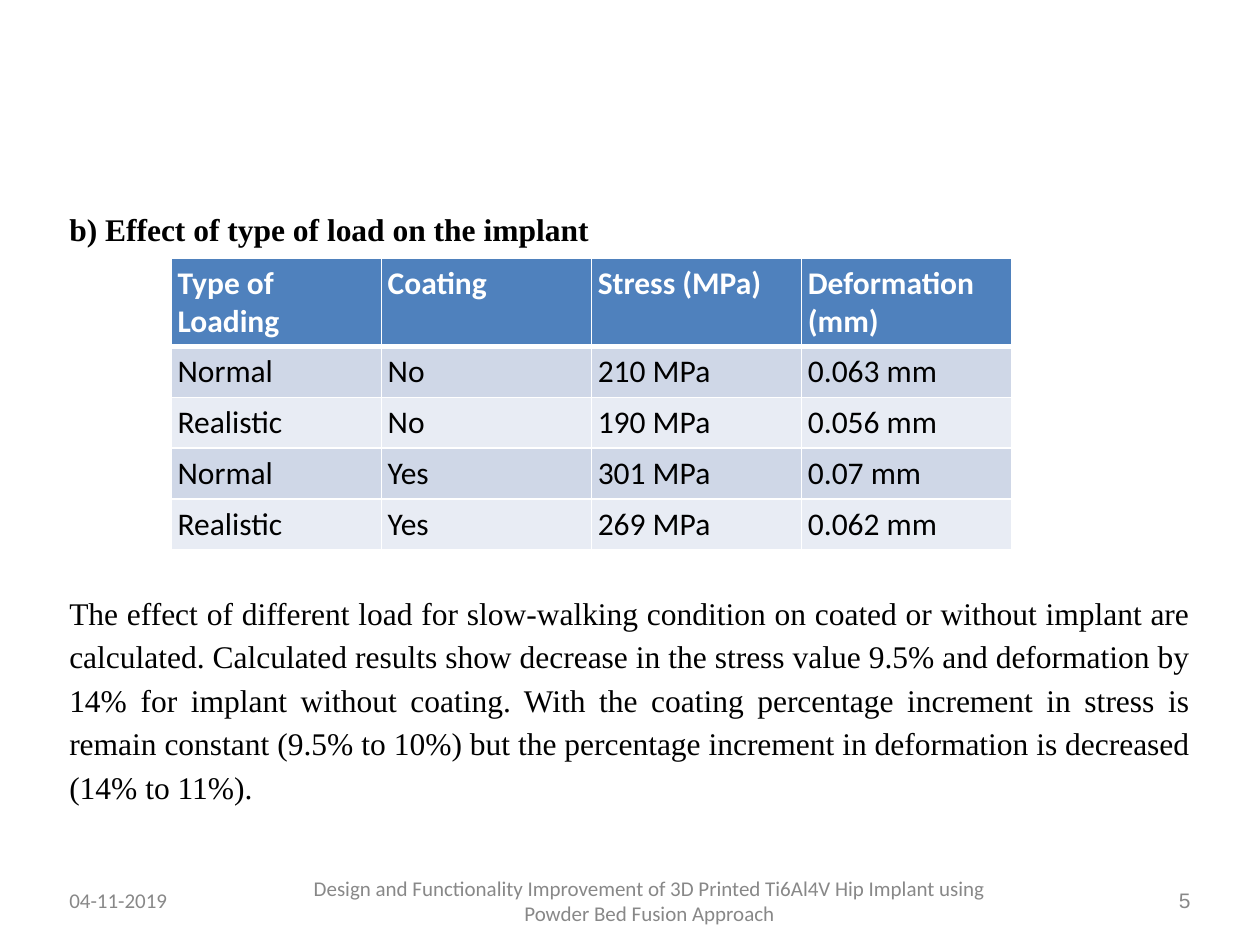
"""Build the slide on the effect of load type on a hip implant."""
from dataclasses import dataclass

from lxml.etree import SubElement
from pptx import Presentation
from pptx.dml.color import RGBColor
from pptx.enum.text import MSO_ANCHOR, MSO_AUTO_SIZE, PP_ALIGN
from pptx.oxml.ns import qn
from pptx.util import Inches, Pt

BLACK = RGBColor(0x00, 0x00, 0x00)
WHITE = RGBColor(0xFF, 0xFF, 0xFF)
GREY = RGBColor(0x88, 0x88, 0x88)
BLUE = RGBColor(0x4F, 0x81, 0xBD)
BANDS = (RGBColor(0xCF, 0xD7, 0xE7), RGBColor(0xE8, 0xEC, 0xF4))

PAGE_WIDTH, PAGE_HEIGHT = Inches(10), Inches(7.5)
MARGIN = 0.05
INSET = Inches(0.05)
THIN, THICK = Pt(1), Pt(3)
SERIF, SANS = "Times New Roman", "Calibri"

HEADING = "b) Effect of type of load on the implant"
RESULTS = (
    ("Type of Loading", "Coating", "Stress (MPa)", "Deformation (mm)"),
    ("Normal", "No", "210 MPa", "0.063 mm"),
    ("Realistic", "No", "190 MPa", "0.056 mm"),
    ("Normal", "Yes", "301 MPa", "0.07 mm"),
    ("Realistic", "Yes", "269 MPa", "0.062 mm"),
)
DISCUSSION = (
    "The effect of different load for slow-walking condition on coated or without "
    "implant are calculated. Calculated results show decrease in the stress value "
    "9.5% and deformation by 14% for implant without coating. With the coating "
    "percentage increment in stress is remain constant (9.5% to 10%) but the "
    "percentage increment in deformation is decreased (14% to 11%)."
)
FOOTER = (
    "Design and Functionality Improvement of 3D Printed Ti6Al4V Hip Implant using "
    "Powder Bed Fusion Approach"
)


@dataclass(frozen=True)
class Style:
    """Look of a run of text."""

    size: int
    font: str
    color: RGBColor
    bold: bool = False


@dataclass(frozen=True)
class Area:
    """Place on the page, as shares of its width and height."""

    left: float
    top: float
    width: float
    height: float

    def lengths(self) -> tuple[int, int, int, int]:
        """Return left, top, width and height as slide lengths."""
        return (
            int(PAGE_WIDTH * self.left),
            int(PAGE_HEIGHT * self.top),
            int(PAGE_WIDTH * self.width),
            int(PAGE_HEIGHT * self.height),
        )


@dataclass(frozen=True)
class Note:
    """A text box on the page."""

    text: str
    area: Area
    style: Style
    align: PP_ALIGN
    anchor: MSO_ANCHOR = MSO_ANCHOR.MIDDLE
    wrap: bool = True


SMALL = Style(12, SANS, GREY)
TITLE = Note(HEADING, Area(MARGIN, 0.216, 0.424, 0.05),
             Style(18, SERIF, BLACK, True), PP_ALIGN.LEFT, MSO_ANCHOR.TOP, False)
NOTES = (
    Note(FOOTER, Area(0.232, 0.921, 0.567, 0.065), SMALL, PP_ALIGN.CENTER),
    Note("04-11-2019", Area(MARGIN, 0.933, 0.233, 0.039), SMALL, PP_ALIGN.LEFT),
    Note("5", Area(0.93, 0.933, 0.02, 0.039), Style(12, "Arial", GREY),
         PP_ALIGN.RIGHT, wrap=False),
)
BODY = Note(DISCUSSION, Area(MARGIN, 0.616, 1 - 2 * MARGIN, 0.229),
            Style(18, SERIF, BLACK), PP_ALIGN.JUSTIFY, MSO_ANCHOR.TOP)
TABLE_AREA = Area(0.136, 0.273, 0.667, 0.257)
HEADER_HEIGHT, ROW_HEIGHT = Inches(0.31), Inches(0.405)


def format_text(frame, style: Style) -> None:
    """Set the insets of a frame's paragraphs and the font of their runs."""
    for paragraph in frame.paragraphs:
        for span in paragraph.runs:
            span.font.size = Pt(style.size)
            span.font.name = style.font
            span.font.bold = style.bold
            span.font.color.rgb = style.color


def fill_box(box, note: Note) -> None:
    """Place a box and write its note in it."""
    box.left, box.top, box.width, box.height = note.area.lengths()
    frame = box.text_frame
    frame.text = note.text
    frame.word_wrap = note.wrap
    frame.auto_size = MSO_AUTO_SIZE.SHAPE_TO_FIT_TEXT
    frame.vertical_anchor = note.anchor
    frame.margin_left = frame.margin_right = INSET
    frame.margin_top = frame.margin_bottom = INSET
    frame.paragraphs[0].alignment = note.align
    format_text(frame, note.style)


def add_note(page, note: Note):
    """Add a text box and return it."""
    box = page.shapes.add_textbox(*note.area.lengths())
    fill_box(box, note)
    return box


def set_borders(cell, top: int, bottom: int) -> None:
    """Draw white lines round a cell."""
    properties = cell._tc.get_or_add_tcPr()
    widths = {"a:lnL": THIN, "a:lnR": THIN, "a:lnT": top, "a:lnB": bottom}
    for tag, width in widths.items():
        line = SubElement(properties, qn(tag), w=str(int(width)))
        fill = SubElement(line, qn("a:solidFill"))
        SubElement(fill, qn("a:srgbClr"), val=str(WHITE))


def format_cell(cell, row: int) -> None:
    """Style a cell by its row."""
    header = row == 0
    cell.margin_left = cell.margin_right = INSET
    cell.margin_top = cell.margin_bottom = INSET
    set_borders(cell, THICK if row == 1 else THIN, THICK if header else THIN)
    cell.fill.solid()
    cell.fill.fore_color.rgb = BLUE if header else BANDS[(row - 1) % len(BANDS)]
    format_text(cell.text_frame, Style(18, SANS, WHITE if header else BLACK, header))


def add_results(page) -> None:
    """Add the table of results."""
    table = page.shapes.add_table(
        len(RESULTS), len(RESULTS[0]), *TABLE_AREA.lengths()
    ).table
    for row, values in enumerate(RESULTS):
        table.rows[row].height = ROW_HEIGHT if row else HEADER_HEIGHT
        for column, value in enumerate(values):
            cell = table.cell(row, column)
            cell.text = value
            format_cell(cell, row)


def main() -> None:
    """Build and save the deck."""
    deck = Presentation()
    deck.slide_width, deck.slide_height = PAGE_WIDTH, PAGE_HEIGHT
    page = deck.slides.add_slide(deck.slide_layouts[5])
    fill_box(page.shapes.title, TITLE)
    for note in NOTES:
        add_note(page, note)
    add_results(page)
    paragraph = add_note(page, BODY).text_frame.paragraphs[0]
    paragraph.line_spacing = 1.15
    paragraph.space_before = Pt(8)
    deck.save("out.pptx")


if __name__ == "__main__":
    main()
